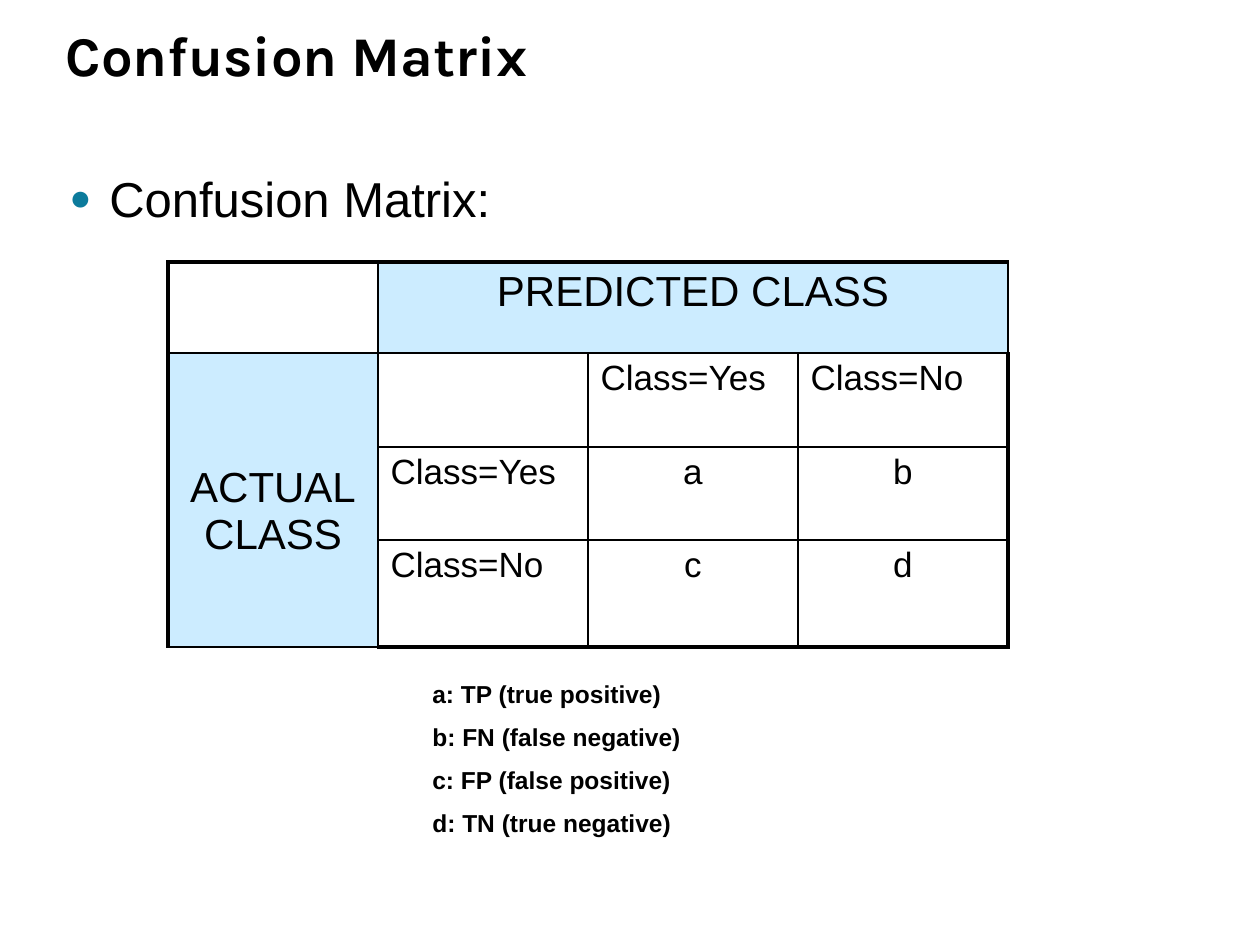
import pptx
import pptx.dml.color
import pptx.enum.text
import pptx.oxml
import pptx.oxml.ns
import pptx.util

PX = 914400 / 126
ALIGN = pptx.enum.text.PP_ALIGN
ANCHOR = pptx.enum.text.MSO_ANCHOR
BLACK, WHITE, PALE, TEAL = "000000", "FFFFFF", "CCECFF", "0C7B9C"


def px(n):
    return pptx.util.Emu(round(n * PX))


def color(code):
    return pptx.dml.color.RGBColor.from_string(code)


def element(tag, inner="", **attrs):
    pairs = "".join(f' {key}="{val}"' for key, val in attrs.items())
    names = pptx.oxml.ns.nsdecls("a")
    return pptx.oxml.parse_xml(f"<a:{tag} {names}{pairs}>{inner}</a:{tag}>")


class Deck:
    font = "Arial"
    thin, thick = 1, 2.25

    def __init__(self, wide, high):
        self.prs = pptx.Presentation()
        self.prs.slide_width, self.prs.slide_height = px(wide), px(high)
        self.slide = self.prs.slides.add_slide(self.prs.slide_layouts[5])

    def runs(self, para, text, size, bold=False, font=None, align=ALIGN.LEFT):
        para.alignment = align
        for i, line in enumerate(text.split("\n")):
            if i:
                para.add_line_break()
            run = para.add_run()
            run.text = line
            run.font.name = font or self.font
            run.font.size = pptx.util.Pt(size)
            run.font.bold = bold
            run.font.color.rgb = color(BLACK)

    def title(self, x, y, w, h, text):
        shape = self.slide.shapes.title
        shape.left, shape.top, shape.width, shape.height = map(px, (x, y, w, h))
        frame = shape.text_frame
        frame.vertical_anchor = ANCHOR.BOTTOM
        frame.auto_size = pptx.enum.text.MSO_AUTO_SIZE.NONE
        para = frame.paragraphs[0]
        para.line_spacing = pptx.util.Pt(36)
        self.runs(para, text, 32, True, "Karla")

    def text(self, x, y, w, h, lines, size, bold=False, gap=0, bullet=False):
        frame = self.slide.shapes.add_textbox(*map(px, (x, y, w, h))).text_frame
        frame.word_wrap = True
        for i, line in enumerate(lines):
            para = frame.add_paragraph() if i else frame.paragraphs[0]
            if bullet:
                self.bullet(para)
            if i:
                para.space_before = pptx.util.Pt(gap)
            self.runs(para, line, size, bold)

    def bullet(self, para):
        props = para._p.get_or_add_pPr()
        props.set("marL", str(px(40)))
        props.set("indent", str(px(-40)))
        props.append(element("buClr", f'<a:srgbClr val="{TEAL}"/>'))
        props.append(element("buSzPct", val=75000))
        props.append(element("buFont", typeface=self.font))
        props.append(element("buChar", char="●"))

    def border(self, cell, outer):
        props = cell._tc.get_or_add_tcPr()
        fill = f'<a:solidFill><a:srgbClr val="{BLACK}"/></a:solidFill>'
        for side, edge in zip("LRTB", outer):
            width = pptx.util.Pt(self.thick if edge else self.thin)
            props.append(element("ln" + side, fill, w=width))

    def table(self, x, y, cols, rows, merges, cells):
        shape = self.slide.shapes.add_table(
            len(rows), len(cols), px(x), px(y), px(sum(cols)), px(sum(rows)))
        grid = shape.table
        grid.first_row = grid.horz_banding = False
        for col, w in zip(grid.columns, cols):
            col.width = px(w)
        for row, h in zip(grid.rows, rows):
            row.height = px(h)
        for start, end in merges:
            grid.cell(*start).merge(grid.cell(*end))
        heads = [start for start, end in merges]
        for r in range(len(rows)):
            for c in range(len(cols)):
                cell = grid.cell(r, c)
                self.border(cell, (c == 0, c == len(cols) - 1,
                                   r == 0, r == len(rows) - 1))
                head = (r, c) in heads
                cell.fill.solid()
                cell.fill.fore_color.rgb = color(PALE if head else WHITE)
                text = cells.get((r, c))
                if text:
                    mid = head or len(text) == 1
                    self.runs(cell.text_frame.paragraphs[0], text,
                              24 if head else 20,
                              align=ALIGN.CENTER if mid else ALIGN.LEFT)
        return grid


def main():
    deck = Deck(1260, 945)

    # Heading and lead line
    deck.title(53, 21, 1142, 73, "Confusion Matrix")
    deck.text(57, 162, 1147, 70, ["Confusion Matrix:"], 28, bullet=True)

    # Matrix: merged heads, class labels and counts
    yes, no = "Class=Yes", "Class=No"
    cells = {
        (0, 1): "PREDICTED CLASS", (1, 0): "ACTUAL\nCLASS",
        (1, 2): yes, (1, 3): no,
        (2, 1): yes, (2, 2): "a", (2, 3): "b",
        (3, 1): no, (3, 2): "c", (3, 3): "d",
    }
    merges = [((0, 1), (0, 3)), ((1, 0), (3, 0))]
    grid = deck.table(168, 262, [210] * 4, [91, 94, 93, 107], merges, cells)
    grid.cell(1, 0).margin_top = px(112)

    # Key to the letters
    key = ["a: TP (true positive)", "b: FN (false negative)",
           "c: FP (false positive)", "d: TN (true negative)"]
    deck.text(420, 673, 305, 174, key, 14, bold=True, gap=7.7)

    deck.prs.save("out.pptx")


if __name__ == "__main__":
    main()
